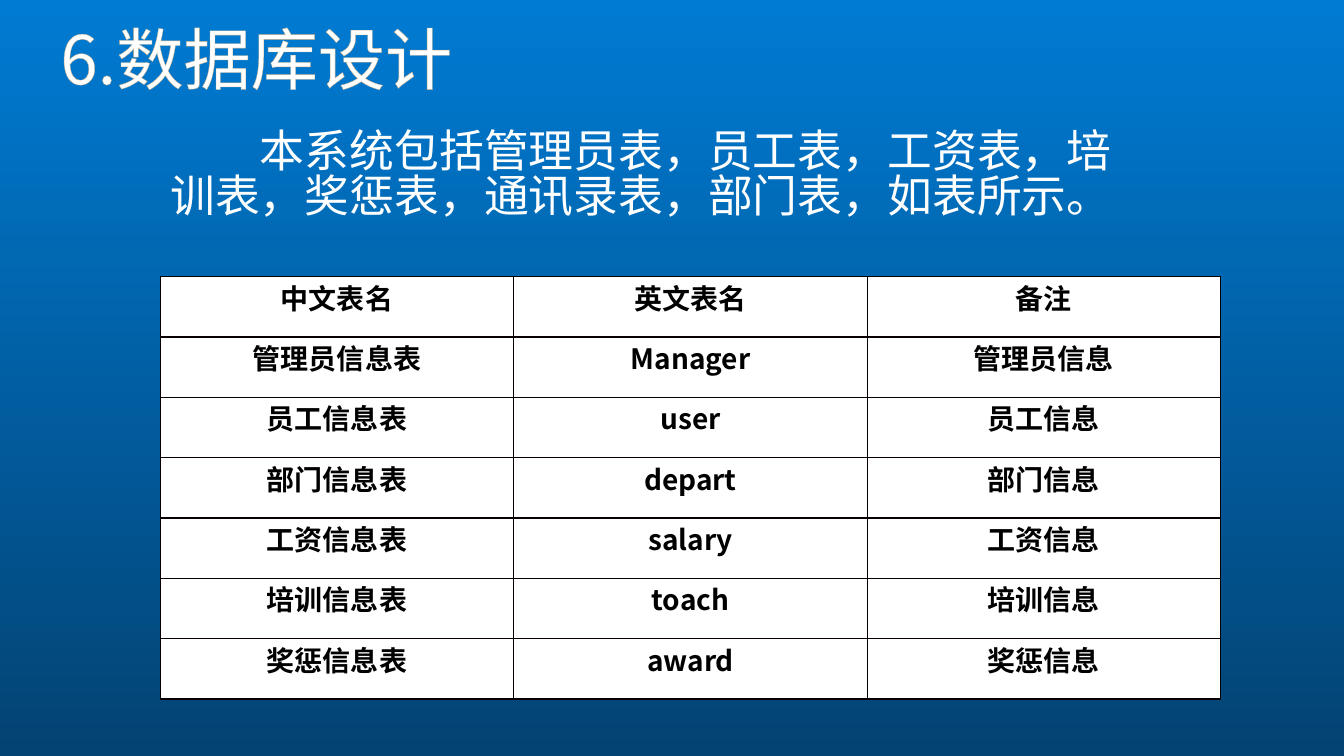
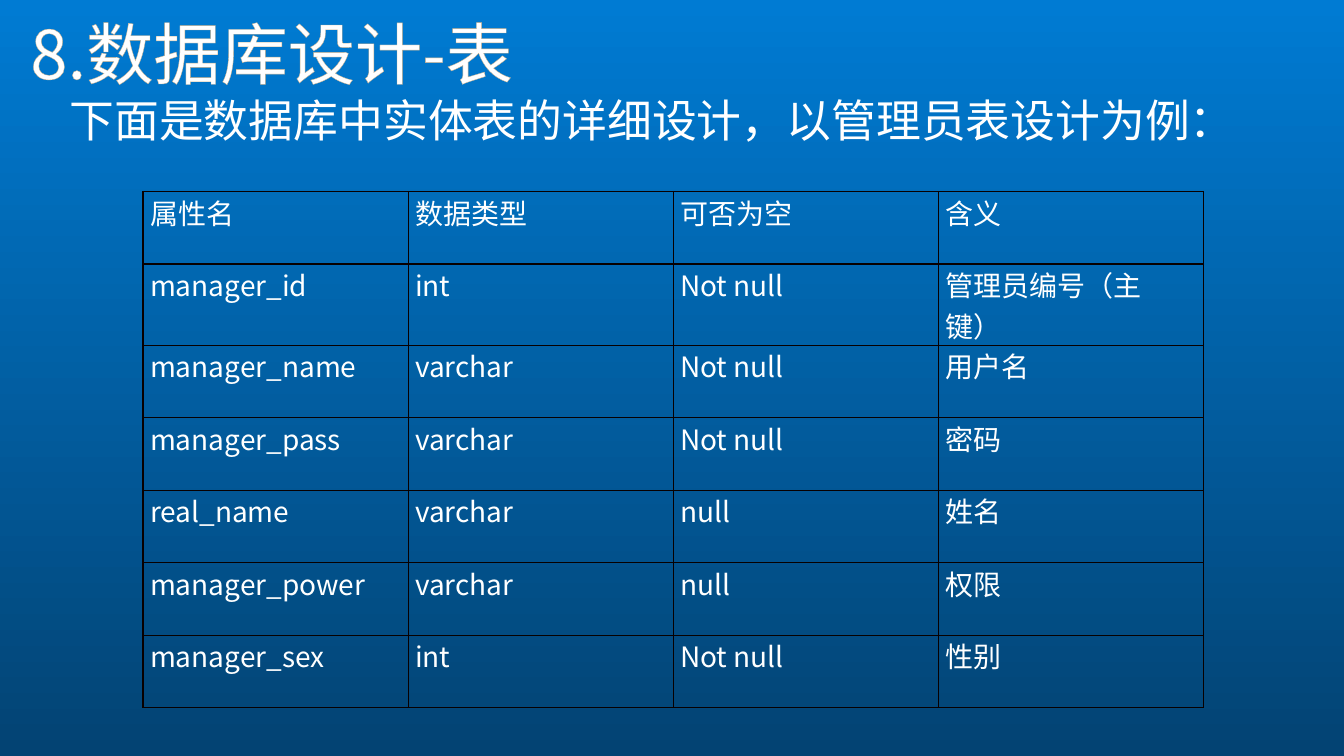
from lxml import etree
from pptx import Presentation
from pptx.dml.color import RGBColor
from pptx.enum.text import MSO_ANCHOR, MSO_AUTO_SIZE, PP_ALIGN
from pptx.oxml.ns import qn
from pptx.util import Pt

LEFT, CENTER = PP_ALIGN.LEFT, PP_ALIGN.CENTER
TOP, BOTTOM = MSO_ANCHOR.TOP, MSO_ANCHOR.BOTTOM
NO_AUTOFIT = MSO_AUTO_SIZE.NONE

SLIDE_WIDTH, SLIDE_HEIGHT = 960, 540
GRADIENT = ("007BD3", "034373")
WHITE, BLACK = "FFFFFF", "000000"
TITLE_OUTLINE, TABLE_BORDER = "C2AD8D", "080000"
TITLE_FONT, BODY_FONT = "Noto Sans CJK JP", "Noto Sans CJK SC"
CELL_MARGINS = {"margin_left": Pt(5), "margin_right": Pt(5),
                "margin_top": 0, "margin_bottom": 0}

# Boxes are left, top, width, height in points.
SLIDES = [
    {
        "title": {"text": "6.数据库设计", "box": (14.4, 13.7, 931, 60.5), "indent": 21.5},
        "intro": {
            "text": "本系统包括管理员表，员工表，工资表，培训表，奖惩表，通讯录表，部门表，如表所示。",
            "box": (114.5, 90.7, 708.5, 359.3),
            "indent": 64, "alignment": LEFT, "line_spacing": 0.83,
        },
        "table": {
            "box": (114.5, 197.7, 757.5, 301.7),
            "alignment": CENTER, "fill": WHITE, "color": BLACK, "bold": True,
            "rows": [
                ("中文表名", "英文表名", "备注"),
                ("管理员信息表", "Manager", "管理员信息"),
                ("员工信息表", "user", "员工信息"),
                ("部门信息表", "depart", "部门信息"),
                ("工资信息表", "salary", "工资信息"),
                ("培训信息表", "toach", "培训信息"),
                ("奖惩信息表", "award", "奖惩信息"),
            ],
        },
    },
    {
        "title": {"text": "8.数据库设计-表", "box": (14.4, -2.9, 931, 73.4), "indent": 0},
        "intro": {
            "text": "下面是数据库中实体表的详细设计，以管理员表设计为例：",
            "box": (36.7, 71.3, 859, 94.3),
            "indent": 0, "alignment": CENTER, "line_spacing": 0.75,
        },
        "table": {
            "box": (102.2, 136.8, 757.5, 362.6),
            "alignment": LEFT, "fill": None, "color": WHITE, "bold": False,
            "rows": [
                ("属性名", "数据类型", "可否为空", "含义"),
                ("manager_id", "int", "Not null", "管理员编号（主键）"),
                ("manager_name", "varchar", "Not null", "用户名"),
                ("manager_pass", "varchar", "Not null", "密码"),
                ("real_name", "varchar", "null", "姓名"),
                ("manager_power", "varchar", "null", "权限"),
                ("manager_sex", "int", "Not null", "性别"),
            ],
        },
    },
]


def rgb(value):
    return RGBColor.from_string(value)


def set_attributes(target, values):
    for name, value in values.items():
        setattr(target, name, value)


def points(box):
    return [Pt(length) for length in box]


def insert_line(parent, index, tag, color, width):
    """Insert a solid DrawingML line element into parent."""
    line = etree.Element(qn(tag), w=str(Pt(width)))
    fill = etree.SubElement(line, qn("a:solidFill"))
    etree.SubElement(fill, qn("a:srgbClr"), val=color)
    parent.insert(index, line)


def write_text(text_frame, text, font_name, size, color, alignment, bold=False):
    """Write one formatted paragraph and return it."""
    paragraph = text_frame.paragraphs[0]
    paragraph.alignment = alignment
    run = paragraph.add_run()
    run.text = text
    set_attributes(run.font, {"name": font_name, "size": Pt(size), "bold": bold})
    run.font.color.rgb = rgb(color)
    properties = run.font._element
    etree.SubElement(properties, qn("a:ea"), typeface=font_name)
    return paragraph


def fill_placeholder(shape, content, font_name, size, anchor, alignment, line_spacing):
    left, top, width, height = points(content["box"])
    set_attributes(shape, {"left": left, "top": top, "width": width, "height": height})
    set_attributes(shape.text_frame, {
        "word_wrap": True, "auto_size": NO_AUTOFIT, "vertical_anchor": anchor})
    paragraph = write_text(shape.text_frame, content["text"], font_name, size, WHITE, alignment)
    set_attributes(paragraph, {"line_spacing": line_spacing, "space_before": Pt(0)})
    paragraph._p.get_or_add_pPr().set("indent", str(Pt(content["indent"])))
    return paragraph


def add_title(slide, content):
    paragraph = fill_placeholder(
        slide.shapes.title, content, TITLE_FONT, 48, BOTTOM, LEFT, 0.9)
    insert_line(paragraph.runs[0].font._element, 0, "a:ln", TITLE_OUTLINE, 0.8)


def add_intro(slide, content):
    fill_placeholder(slide.placeholders[1], content, BODY_FONT, 32, TOP,
                     content["alignment"], content["line_spacing"])


def format_cell(cell, text, content):
    set_attributes(cell, CELL_MARGINS)
    if content["fill"]:
        cell.fill.solid()
        cell.fill.fore_color.rgb = rgb(content["fill"])
    else:
        cell.fill.background()
    for index, tag in enumerate(("a:lnL", "a:lnR", "a:lnT", "a:lnB")):
        insert_line(cell._tc.get_or_add_tcPr(), index, tag, TABLE_BORDER, 1)
    write_text(cell.text_frame, text, BODY_FONT, 20, content["color"],
               content["alignment"], content["bold"])


def add_table(slide, content):
    rows = content["rows"]
    table = slide.shapes.add_table(len(rows), len(rows[0]), *points(content["box"])).table
    set_attributes(table, {"first_row": False, "horz_banding": False})
    for row_index, row in enumerate(rows):
        for column_index, text in enumerate(row):
            format_cell(table.cell(row_index, column_index), text, content)


def set_background(master):
    fill = master.background.fill
    fill.gradient()
    fill.gradient_angle = 270
    for stop, color in zip(fill.gradient_stops, GRADIENT):
        stop.color.rgb = rgb(color)


def main():
    presentation = Presentation()
    set_attributes(presentation, {
        "slide_width": Pt(SLIDE_WIDTH), "slide_height": Pt(SLIDE_HEIGHT)})
    set_background(presentation.slide_master)
    for content in SLIDES:
        slide = presentation.slides.add_slide(presentation.slide_layouts[0])
        add_title(slide, content["title"])
        add_intro(slide, content["intro"])
        add_table(slide, content["table"])
    presentation.save("out.pptx")


if __name__ == "__main__":
    main()
